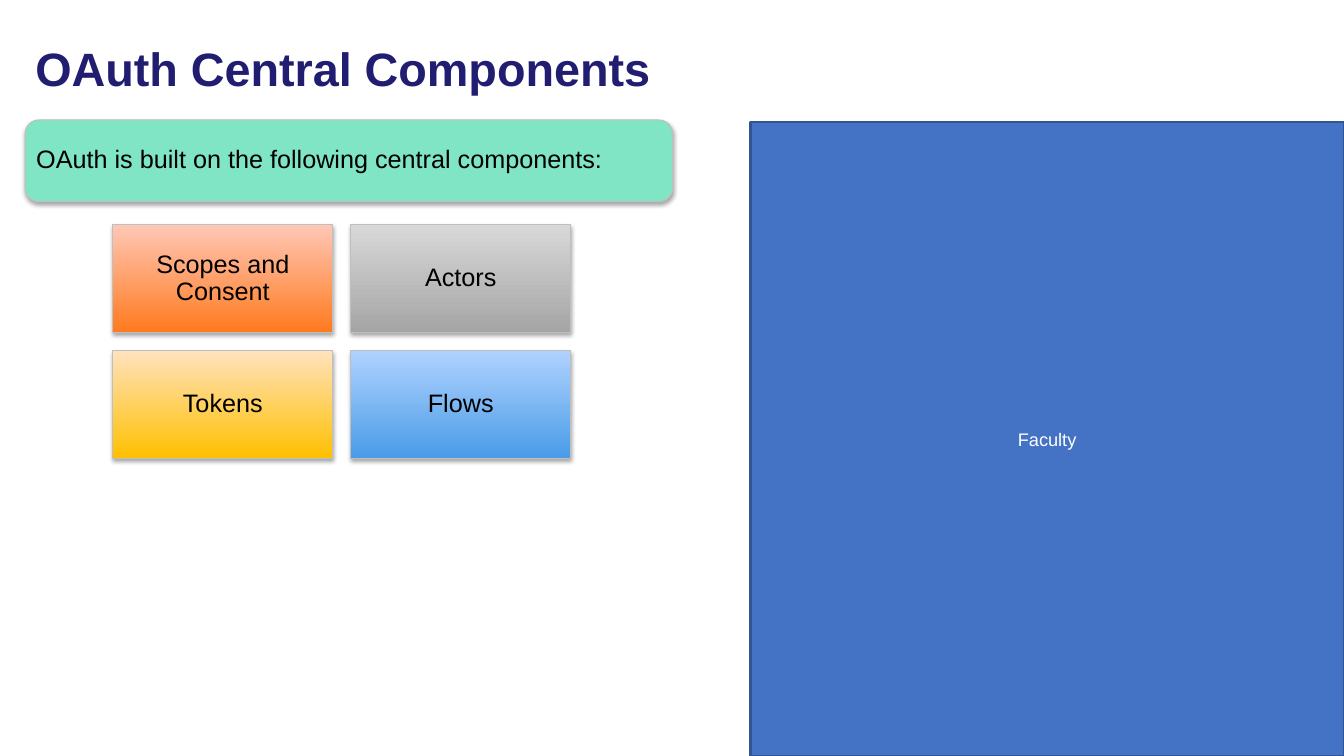
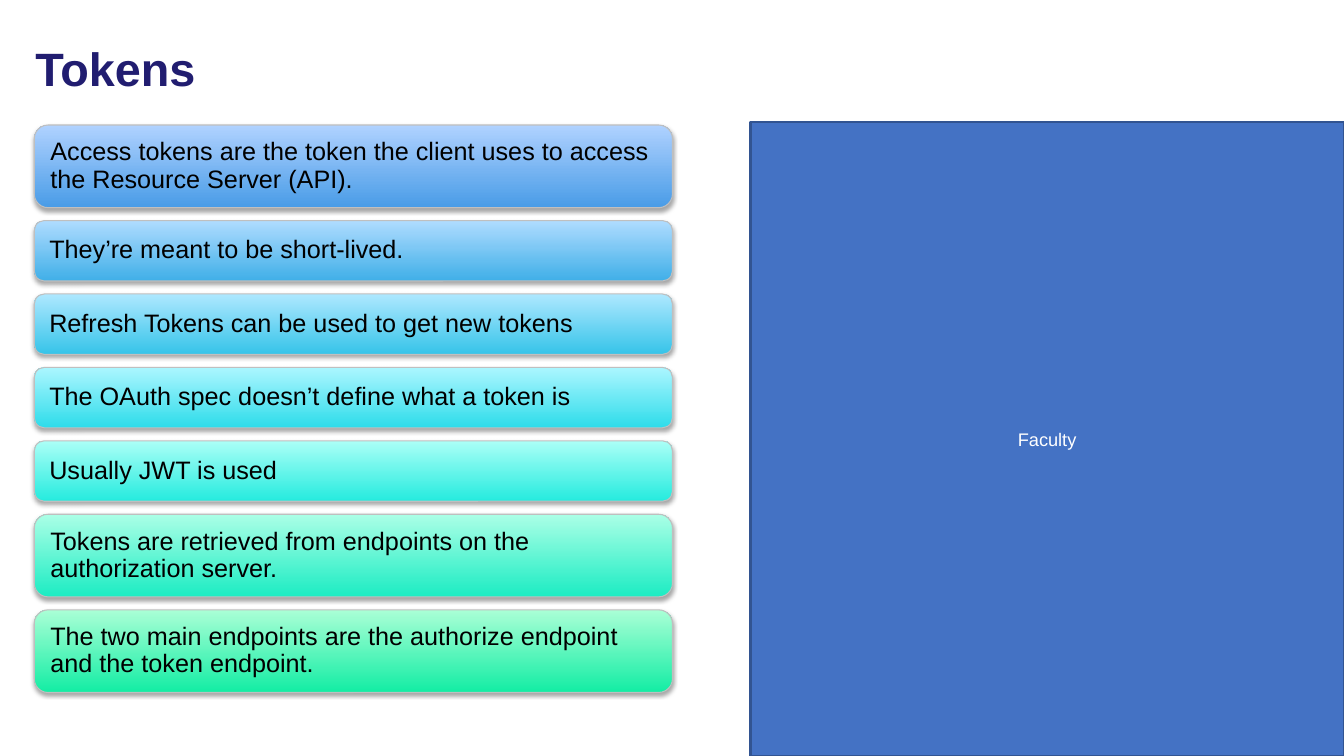
"""Build two slides on the parts of OAuth and its tokens."""
from lxml import etree
from pptx import Presentation
from pptx.dml.color import RGBColor
from pptx.enum.shapes import MSO_SHAPE as Shape
from pptx.enum.text import MSO_ANCHOR as Anchor, MSO_AUTO_SIZE as Fit, PP_ALIGN as Align
from pptx.oxml.ns import qn
from pptx.util import Inches, Pt

WIDE, HIGH = 13.33, 7.5
FONT = "Arial"
NAVY = RGBColor(0x21, 0x1D, 0x70)
BLUE = RGBColor(0x44, 0x72, 0xC4)
EDGE = RGBColor(0x32, 0x54, 0x91)
MINT = RGBColor(0x80, 0xE5, 0xC4)
GREY = RGBColor(0xBF, 0xBF, 0xBF)
BLACK = RGBColor(0, 0, 0)
WHITE = RGBColor(0xFF, 0xFF, 0xFF)
SKY = RGBColor(0x49, 0x9C, 0xE7), RGBColor(0xB0, 0xD2, 0xFF)

INTRO = "OAuth is built on the following central components:"
PARTS = [
    ("Scopes and Consent", (RGBColor(0xFF, 0x7A, 0x1F), RGBColor(0xFF, 0xC7, 0xB6))),
    ("Actors", (RGBColor(0xA5, 0xA5, 0xA5), RGBColor(0xD8, 0xD8, 0xD8))),
    ("Tokens", (RGBColor(0xFF, 0xC0, 0x00), RGBColor(0xFF, 0xE2, 0xBD))),
    ("Flows", SKY),
]
FACTS = [
    ("Access tokens are the token the client uses to access the Resource Server (API).",
     2, SKY),
    ("They’re meant to be short-lived.",
     1, (RGBColor(0x40, 0xAF, 0xE8), RGBColor(0xAF, 0xDC, 0xFF))),
    ("Refresh Tokens can be used to get new tokens",
     1, (RGBColor(0x37, 0xC4, 0xE9), RGBColor(0xAE, 0xE8, 0xFF))),
    ("The OAuth spec doesn’t define what a token is",
     1, (RGBColor(0x2E, 0xDC, 0xEA), RGBColor(0xAC, 0xF6, 0xFF))),
    ("Usually JWT is used",
     1, (RGBColor(0x25, 0xEB, 0xDE), RGBColor(0xAB, 0xFF, 0xF7))),
    ("Tokens are retrieved from endpoints on the authorization server.",
     2, (RGBColor(0x1C, 0xEC, 0xC3), RGBColor(0xAB, 0xFF, 0xE6))),
    ("The two main endpoints are the authorize endpoint and the token endpoint.",
     2, (RGBColor(0x13, 0xED, 0xA4), RGBColor(0xAA, 0xFF, 0xD6))),
]
TALL = {1: 0.6, 2: 0.82}


def write(shape, text, size=18, color=BLACK, bold=False, align=Align.LEFT,
          pads=(0.07, 0.07, 0.07, 0.07), lead=0.9):
    """Put formatted text into a shape."""
    frame = shape.text_frame
    frame.word_wrap = True
    frame.auto_size = Fit.NONE
    frame.vertical_anchor = Anchor.MIDDLE
    (frame.margin_left, frame.margin_top,
     frame.margin_right, frame.margin_bottom) = map(Inches, pads)
    para = frame.paragraphs[0]
    para.alignment = align
    para.line_spacing = lead
    run = para.add_run()
    run.text = text
    font = run.font
    font.name, font.size, font.bold = FONT, Pt(size), bold
    font.color.rgb = color


def block(slide, kind, place, fill, line=GREY, width=0.75):
    """Add a shape with a plain fill, or a pair of colours from foot to top."""
    shape = slide.shapes.add_shape(kind, *map(Inches, place))
    if isinstance(fill, RGBColor):
        shape.fill.solid()
        shape.fill.fore_color.rgb = fill
    else:
        shape.fill.gradient()
        shape.fill.gradient_angle = 90
        for stop, color in zip(shape.fill.gradient_stops, fill):
            stop.color.rgb = color
    shape.line.color.rgb = line
    shape.line.width = Pt(width)
    shape.shadow.inherit = False
    return shape


def card(slide, kind, place, fill, text, **style):
    """Add a text block with a soft shadow below it."""
    shape = block(slide, kind, place, fill)
    effects = shape.element.spPr.find(qn("a:effectLst"))
    shade = etree.SubElement(effects, qn("a:outerShdw"), blurRad=str(Pt(3.1)),
                             dist=str(Pt(1.8)), dir="5400000", rotWithShape="0")
    color = etree.SubElement(shade, qn("a:srgbClr"), val=str(BLACK))
    etree.SubElement(color, qn("a:alpha"), val="35000")
    write(shape, text, **style)


def start(deck, title):
    """Add a slide with the shared title and side panel."""
    slide = deck.slides.add_slide(deck.slide_layouts[5])
    head = slide.shapes.title
    head.left, head.top, head.width, head.height = map(Inches, (0.25, 0.25, 11.81, 0.91))
    write(head, title, size=33.4, color=NAVY, bold=True, pads=(0.1, 0.05, 0.1, 0.05))
    left, top = 7.44, 1.21
    panel = block(slide, Shape.RECTANGLE, (left, top, WIDE - left, HIGH - top),
                  BLUE, line=EDGE, width=2)
    write(panel, "Faculty", size=13, color=WHITE, align=Align.CENTER, lead=1.0)
    return slide


def show_parts(deck):
    """Draw the intro bar and the grid of parts."""
    slide = start(deck, "OAuth Central Components")
    card(slide, Shape.ROUNDED_RECTANGLE, (0.25, 1.19, 6.42, 0.81), MINT, INTRO)
    wide, high, gap = 2.18, 1.07, 0.18
    for spot, (text, fill) in enumerate(PARTS):
        row, col = divmod(spot, 2)
        place = 1.12 + col * (wide + gap), 2.23 + row * (high + gap), wide, high
        card(slide, Shape.RECTANGLE, place, fill, text, align=Align.CENTER)


def show_facts(deck):
    """Stack the token facts with equal gaps."""
    slide = start(deck, "Tokens")
    top, foot = 1.24, 6.87
    used = sum(TALL[rows] for _, rows, _ in FACTS)
    gap = (foot - top - used) / (len(FACTS) - 1)
    for text, rows, fill in FACTS:
        card(slide, Shape.ROUNDED_RECTANGLE, (0.34, top, 6.33, TALL[rows]), fill, text,
             pads=(0.12, 0.07, 0.07, 0.07))
        top += TALL[rows] + gap


def main():
    """Build and save the deck."""
    deck = Presentation()
    deck.slide_width, deck.slide_height = Inches(WIDE), Inches(HIGH)
    show_parts(deck)
    show_facts(deck)
    deck.save("out.pptx")


if __name__ == "__main__":
    main()
